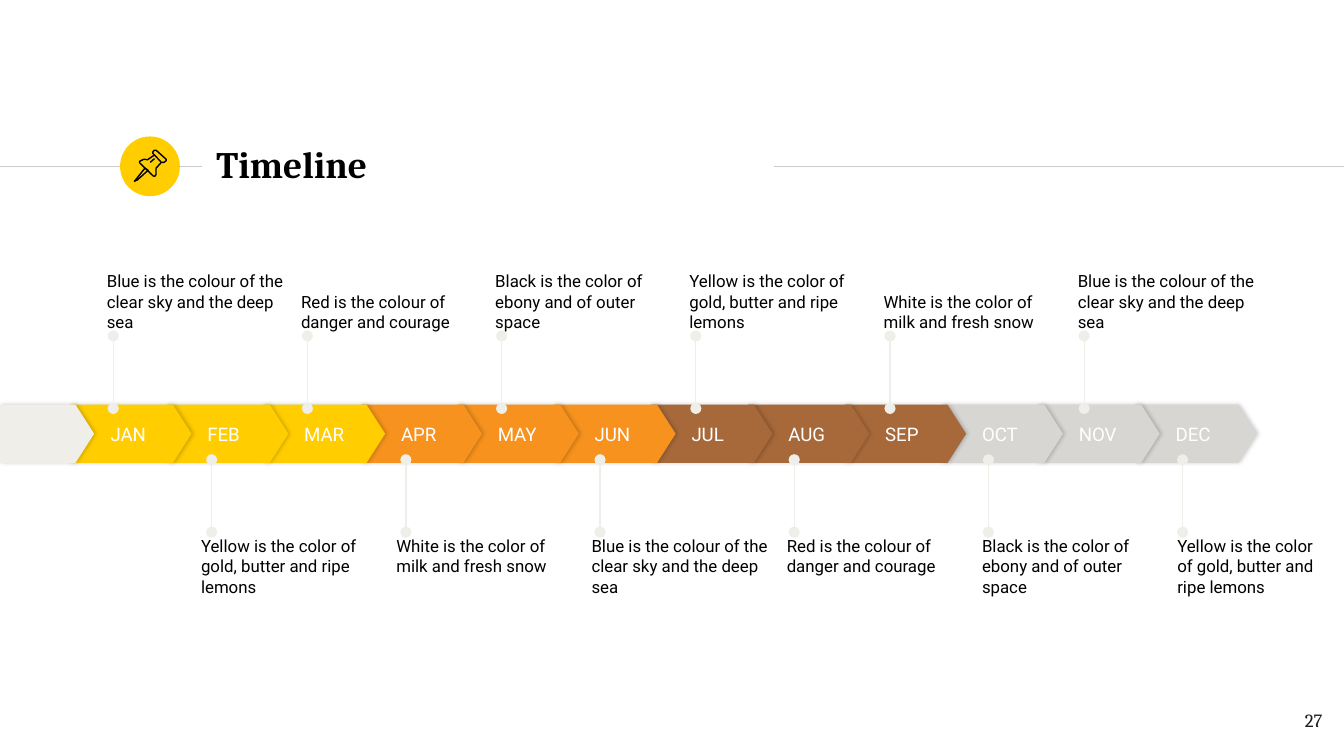
import lxml.etree
import pptx
import pptx.dml.color
import pptx.enum.shapes
import pptx.enum.text
import pptx.oxml
import pptx.oxml.ns
import pptx.util

Cm = pptx.util.Cm
Pt = pptx.util.Pt
qn = pptx.oxml.ns.qn
Shapes = pptx.enum.shapes.MSO_SHAPE
Anchor = pptx.enum.text.MSO_ANCHOR
Align = pptx.enum.text.PP_ALIGN

YELLOW, ORANGE, BROWN, GRAY, PALE = "FFCD00", "F6921D", "A7693A", "D8D6D2", "F0EEE9"
BLACK, WHITE = "000000", "FFFFFF"


def color(hex_string):
    return pptx.dml.color.RGBColor.from_string(hex_string)


def write_text(shape, text, size, font, hex_string, anchor, margins=(0, 0, 0, 0),
               bold=False, align=Align.LEFT):
    """Fill a shape with one paragraph; margins are left, top, right, bottom in cm."""
    frame = shape.text_frame
    frame.text = text
    frame.word_wrap = True
    frame.vertical_anchor = anchor
    frame.margin_left, frame.margin_top, frame.margin_right, frame.margin_bottom = map(Cm, margins)
    paragraph = frame.paragraphs[0]
    paragraph.alignment = align
    run_font = paragraph.runs[0].font
    run_font.size, run_font.name, run_font.bold = Pt(size), font, bold
    run_font.color.rgb = color(hex_string)


presentation = pptx.Presentation()
presentation.slide_width, presentation.slide_height = Cm(25.4), Cm(14.29)
slide = presentation.slides.add_slide(presentation.slide_layouts[6])
shapes = slide.shapes

# Month arrows, last first so that each one overlaps the next
months = ["JAN", "FEB", "MAR", "APR", "MAY", "JUN", "JUL", "AUG", "SEP", "OCT", "NOV", "DEC"]
quarter_colors = [YELLOW, ORANGE, BROWN, GRAY]
arrows = [(1.33 + 1.83 * index, 2.29, quarter_colors[index // 3], month)
          for index, month in enumerate(months)]
arrows.insert(0, (0, 1.78, PALE, ""))
for left, width, fill, month in reversed(arrows):
    arrow = shapes.add_shape(Shapes.PENTAGON, Cm(left), Cm(7.65), Cm(width), Cm(1.1))
    arrow.adjustments[0] = 0.32
    arrow.fill.solid()
    arrow.fill.fore_color.rgb = color(fill)
    arrow.line.fill.background()
    arrow.shadow.inherit = False
    effects = arrow._element.spPr.find(qn("a:effectLst"))
    shadow = lxml.etree.SubElement(effects, qn("a:outerShdw"), blurRad=str(Pt(2.2)),
                                   dist=str(Pt(0.8)), dir="0", algn="bl", rotWithShape="0")
    shadow_color = lxml.etree.SubElement(shadow, qn("a:srgbClr"), val=BLACK)
    lxml.etree.SubElement(shadow_color, qn("a:alpha"), val="20000")
    if month:
        write_text(arrow, month, 10, "Roboto", WHITE, Anchor.MIDDLE, (0.76, 0, 0, 0))

# Header rules and callout stems
lines = [(0, 3.15, 3.81, 3.15, "CCCCCC", False), (14.63, 3.15, 25.4, 3.15, "CCCCCC", False)]
for index in range(6):
    upper_x, lower_x = 2.14 + 3.67 * index, 4 + 3.67 * index
    lines.append((upper_x, 7.72, upper_x, 6.35, PALE, True))
    lines.append((lower_x, 10.06, lower_x, 8.69, PALE, True))
for start_x, start_y, end_x, end_y, line_color, has_dots in lines:
    connector = shapes.add_connector(pptx.enum.shapes.MSO_CONNECTOR.STRAIGHT,
                                     Cm(start_x), Cm(start_y), Cm(end_x), Cm(end_y))
    connector.line.color.rgb = color(line_color)
    connector.line.width = Pt(0.75)
    if has_dots:
        outline = connector.line._get_or_add_ln()
        for end in ("a:headEnd", "a:tailEnd"):
            lxml.etree.SubElement(outline, qn(end), type="oval")
    lxml.etree.SubElement(connector._element.spPr, qn("a:effectLst"))

# Callout texts
blue = "Blue is the colour of the clear sky and the deep sea"
red = "Red is the colour of danger and courage"
black = "Black is the color of ebony and of outer space"
yellow = "Yellow is the color of gold, butter and ripe lemons"
white = "White is the color of milk and fresh snow"
callout_rows = [
    (2.02, 3.67, 4.8, Anchor.BOTTOM, [blue, red, black, yellow, white, blue]),
    (3.8, 3.69, 10.13, Anchor.TOP, [yellow, white, blue, red, black, yellow]),
]
for first_left, step, top, anchor, texts in callout_rows:
    for index, text in enumerate(texts):
        left = first_left + step * index
        width = min(3.48, 25.12 - left)
        callout = shapes.add_textbox(Cm(left), Cm(top), Cm(width), Cm(1.47))
        write_text(callout, text, 9, "Roboto", BLACK, anchor)

# Title and page number
title = shapes.add_textbox(Cm(3.84), Cm(2.49), Cm(10.77), Cm(1.22))
write_text(title, "Timeline", 20, "Cambria", BLACK, Anchor.MIDDLE, [0.25] * 4, bold=True)
page_number = shapes.add_textbox(Cm(23.72), Cm(13.18), Cm(1.52), Cm(1.09))
write_text(page_number, "27", 10, "Cambria", "1D1D1B", Anchor.TOP, [0.25] * 4, align=Align.RIGHT)

# Pushpin badge
badge = shapes.add_shape(Shapes.OVAL, Cm(2.27), Cm(2.58), Cm(1.13), Cm(1.13))
badge.fill.solid()
badge.fill.fore_color.rgb = color(YELLOW)
badge.line.fill.background()
badge.shadow.inherit = False

# Pin outlines in hundredths of a centimetre
needle = [(274, 318), (254, 343), (260, 340), (280, 322)]
cap = [(292, 293), (305, 307), (310, 307), (314, 304), (314, 301),
       (295, 284), (292, 284), (289, 287), (289, 290)]
body = [(292, 293), (279, 302), (272, 301), (264, 305), (264, 308),
        (290, 333), (293, 333), (295, 330), (295, 318), (305, 307)]
shine = [(284, 307), (292, 300)]
for points, closed in [(needle, True), (cap, True), (body, False), (shine, False)]:
    builder = shapes.build_freeform(*points[0], scale=Cm(0.01))
    builder.add_line_segments(points[1:], close=closed)
    pin_part = builder.convert_to_shape()
    pin_part.fill.background()
    pin_part.line.color.rgb = color(BLACK)
    pin_part.line.width = Pt(0.75)
    pin_part.shadow.inherit = False

presentation.save("out.pptx")
